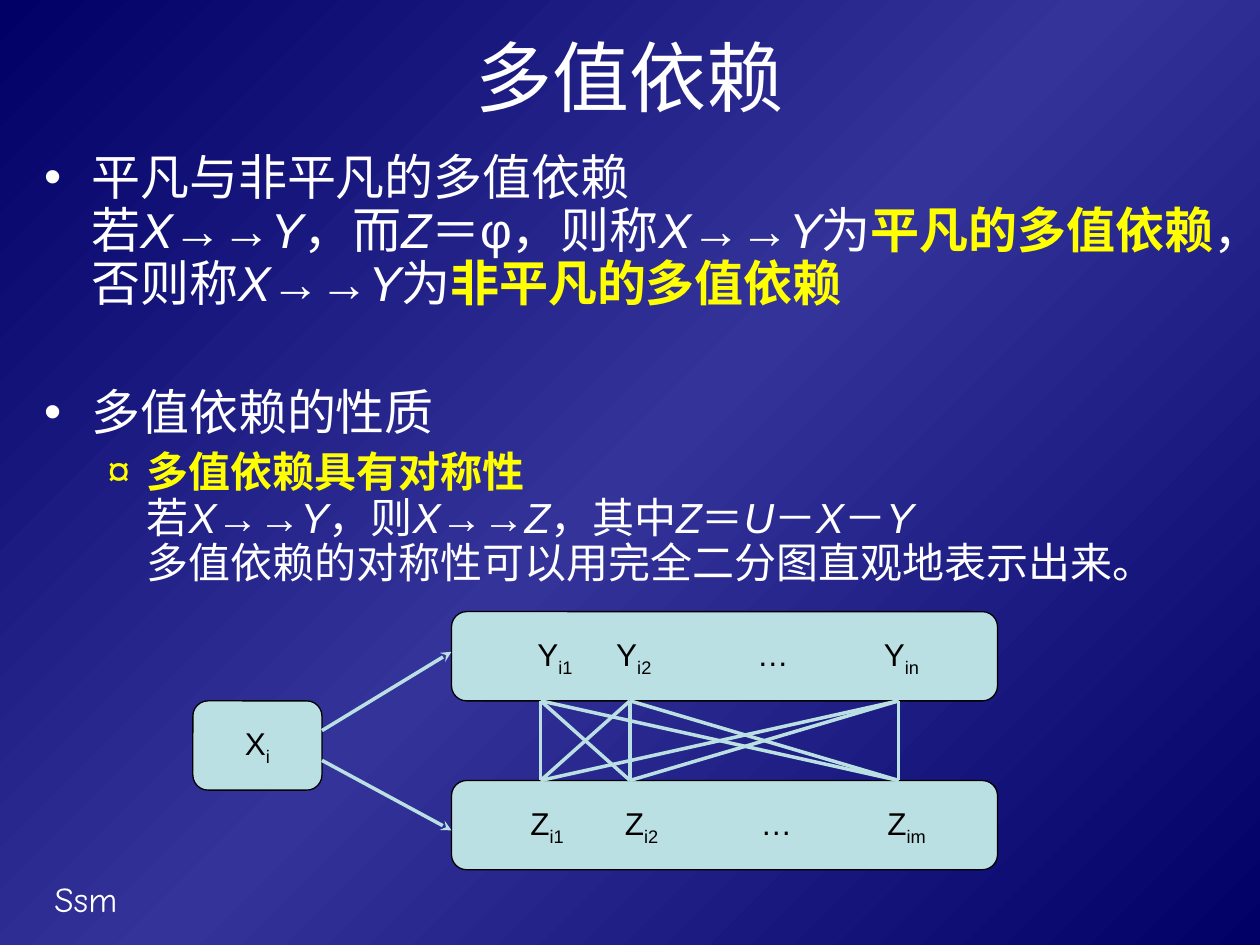
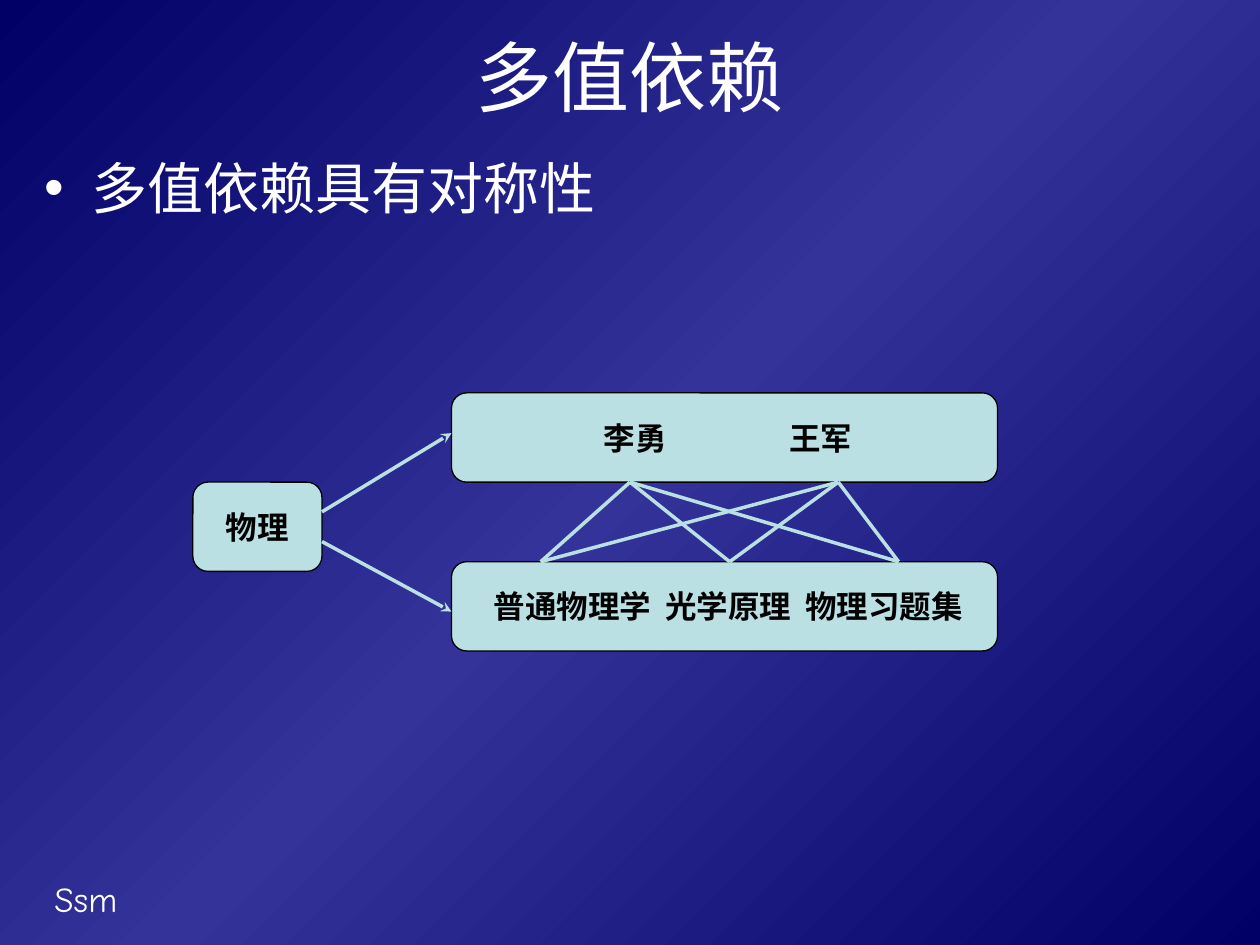
from itertools import product

from lxml.etree import SubElement
from pptx import Presentation
from pptx.dml.color import RGBColor
from pptx.enum.lang import MSO_LANGUAGE_ID as Language
from pptx.enum.shapes import MSO_CONNECTOR as Connector, MSO_SHAPE as Shape
from pptx.enum.text import MSO_ANCHOR as Anchor, MSO_AUTO_SIZE as AutoSize, PP_ALIGN as Align
from pptx.oxml import parse_xml
from pptx.oxml.ns import nsdecls, qn
from pptx.util import Pt

COLORS = {
    "edge": "000066",
    "glow": "333399",
    "text": "FFFFFF",
    "key": "FFFF00",
    "node": "BBE0E3",
    "ink": "000000",
}
PLAIN, ITALIC, SUB = {}, {"italic": True}, {"baseline": -25}
KEY = {"bold": True, "color": "key"}

NODE_HEIGHT = 51
ROW_STEP = 96.5
X_LEFT, X_WIDTH = 110.25, 73.75
WIDE_LEFT, WIDE_WIDTH = 258, 312


def color(name):
    return RGBColor.from_string(COLORS[name])


def depends(left, right):
    return [(left, ITALIC), ("→→", PLAIN), (right, ITALIC)]


def entries(letter, last):
    labels = [[(letter, PLAIN), (index, SUB)] for index in ("i1", "i2", last)]
    return labels[:2] + [[("…", PLAIN)]] + labels[2:]


def bold_entries(*words):
    return [[(word, {"bold": True})] for word in words]


class Slides:
    def __init__(self):
        self.deck = Presentation()
        self.deck.slide_width, self.deck.slide_height = Pt(720), Pt(540)
        self.layout = self.deck.slide_layouts[1]
        self.page = None
        self.paint_background()

    def paint_background(self):
        stops = "".join(
            f'<a:gs pos="{place * 1000}"><a:srgbClr val="{COLORS[name]}"/></a:gs>'
            for place, name in ((0, "edge"), (50, "glow"), (100, "edge"))
        )
        fill = parse_xml(
            f'<a:gradFill {nsdecls("a")} rotWithShape="0"><a:gsLst>{stops}</a:gsLst>'
            '<a:lin ang="13500000" scaled="0"/></a:gradFill>'
        )
        background = self.deck.slide_master.background
        background.fill.solid()
        properties = background.fill._xPr
        properties.replace(properties.find(qn("a:solidFill")), fill)

    def new_page(self, title):
        self.page = self.deck.slides.add_slide(self.layout)
        if len(self.deck.slides) == 1:
            self.footer("Ssm")
        box = self.page.shapes.title
        self.place(box, 36, 12, 648, 63)
        frame = box.text_frame
        frame.auto_size = AutoSize.NONE
        frame.vertical_anchor = Anchor.MIDDLE
        para = frame.paragraphs[0]
        para.alignment = Align.CENTER
        self.add_spans(para, [(title, PLAIN)], 44)

    def footer(self, text):
        box = self.page.shapes.add_textbox(Pt(24), Pt(498), Pt(150), Pt(32))
        box.text_frame.word_wrap = True
        para = box.text_frame.paragraphs[0]
        para.space_before = Pt(12.5)
        self.add_spans(para, [(text, PLAIN)], 20, font="Comic Neue")
        self.layout.shapes.element.append(box.element)

    def place(self, box, left, top, width, height):
        box.left, box.top, box.width, box.height = map(Pt, (left, top, width, height))

    def add_spans(self, para, runs, size, base="text", font="Arial"):
        for text, style in runs:
            for number, line in enumerate(text.split("\n")):
                if number:
                    para.add_line_break()
                if not line:
                    continue
                span = para.add_run()
                span.text = line
                span.font.name, span.font.size = font, Pt(size)
                span.font.language_id = Language.SIMPLIFIED_CHINESE
                span.font.bold = style.get("bold", False)
                span.font.italic = style.get("italic", False)
                span.font.color.rgb = color(style.get("color", base))
                if "baseline" in style:
                    span._r.get_or_add_rPr().set("baseline", str(style["baseline"] * 1000))

    def body(self, height):
        box = self.page.placeholders[1]
        self.place(box, 18, 84, 690, height)
        box.text_frame.auto_size = AutoSize.NONE
        return box.text_frame

    def bullet(self, frame, runs, size, before, spacing=1.0, level=0):
        first = frame.paragraphs[0]
        para = frame.add_paragraph() if first.runs else first
        para.level = level
        margin, hang, mark, tint = ((27, 27, "•", "text"), (58.5, 22.5, "¤", "key"))[level]
        properties = para._p.get_or_add_pPr()
        properties.set("marL", str(Pt(margin)))
        properties.set("indent", str(-Pt(hang)))
        SubElement(SubElement(properties, qn("a:buClr")), qn("a:srgbClr"), val=COLORS[tint])
        SubElement(properties, qn("a:buFont"), typeface="Arial")
        SubElement(properties, qn("a:buChar"), char=mark)
        para.line_spacing = spacing
        para.space_before = Pt(before)
        self.add_spans(para, runs, size)

    def node(self, left, top, width, labels, stops=()):
        box = self.page.shapes.add_shape(
            Shape.ROUNDED_RECTANGLE, Pt(left), Pt(top), Pt(width), Pt(NODE_HEIGHT)
        )
        box.shadow.inherit = False
        box.adjustments[0] = 0.17
        box.fill.solid()
        box.fill.fore_color.rgb = color("node")
        box.line.color.rgb = color("ink")
        box.line.width = Pt(0.75)
        frame = box.text_frame
        frame.vertical_anchor = Anchor.MIDDLE
        frame.word_wrap = bool(stops)
        para = frame.paragraphs[0]
        para.alignment = Align.LEFT if stops else Align.CENTER
        if stops:
            tabs = SubElement(para._p.get_or_add_pPr(), qn("a:tabLst"))
            for stop in stops:
                SubElement(tabs, qn("a:tab"), pos=str(Pt(stop)), algn="l")
        for label in labels:
            lead = [("\t", PLAIN)] if stops else []
            self.add_spans(para, lead + label, 18, "ink")

    def line(self, start, end, arrow=False):
        link = self.page.shapes.add_connector(Connector.STRAIGHT, *map(Pt, (*start, *end)))
        link.line.color.rgb = color("node")
        link.line.width = Pt(2)
        if arrow:
            SubElement(link.line._get_or_add_ln(), qn("a:tailEnd"), type="stealth")
        SubElement(link._element.spPr, qn("a:effectLst"))

    def bipartite(self, top, source, upper, lower, upper_ends, lower_ends):
        self.node(X_LEFT, top + NODE_HEIGHT, X_WIDTH, [source])
        self.node(WIDE_LEFT, top, WIDE_WIDTH, *upper)
        self.node(WIDE_LEFT, top + ROW_STEP, WIDE_WIDTH, *lower)
        for above, below in product(upper_ends, lower_ends):
            self.line((above, top + NODE_HEIGHT), (below, top + ROW_STEP))
        for leave, reach in ((68, 23), (85, 125)):
            self.line((X_LEFT + X_WIDTH, top + leave), (WIDE_LEFT, top + reach), arrow=True)


def properties_page(slides):
    slides.new_page("多值依赖")
    frame = slides.body(266)
    definition = [
        ("平凡与非平凡的多值依赖\n若", PLAIN), *depends("X", "Y"),
        ("，而", PLAIN), ("Z", ITALIC), ("＝φ，则称", PLAIN), *depends("X", "Y"),
        ("为", PLAIN), ("平凡的多值依赖", KEY), ("，否则称", PLAIN), *depends("X", "Y"),
        ("为", PLAIN), ("非平凡的多值依赖", KEY),
    ]
    symmetry = [
        ("多值依赖具有对称性\n", KEY), ("若", PLAIN), *depends("X", "Y"),
        ("，则", PLAIN), *depends("X", "Z"), ("，其中", PLAIN), ("Z", ITALIC),
        ("＝", PLAIN), ("U", ITALIC), ("－", PLAIN), ("X", ITALIC), ("－", PLAIN),
        ("Y\n", ITALIC), ("多值依赖的对称性可以用完全二分图直观地表示出来。", PLAIN),
    ]
    slides.bullet(frame, definition, 28, 7, 0.9)
    slides.bullet(frame, [("多值依赖的性质", PLAIN)], 28, 43.5, 0.9)
    slides.bullet(frame, symmetry, 24, 6, 0.9, level=1)
    ends = (309, 360, 513.5)
    slides.bipartite(
        349.5,
        [("X", PLAIN), ("i", SUB)],
        (entries("Y", "in"), (39.5, 84.5, 165, 237.5)),
        (entries("Z", "im"), (35.5, 89.5, 167, 239.5)),
        ends,
        ends,
    )


def example_page(slides):
    slides.new_page("多值依赖")
    slides.bullet(slides.body(414), [("多值依赖具有对称性", PLAIN)], 32, 8)
    slides.bipartite(
        224.5,
        [("物理", {"bold": True})],
        (bold_entries("李勇", "王军"), (77.5, 183.5)),
        (bold_entries("普通物理学", "光学原理", "物理习题集"), (14.5, 112.5, 192.5)),
        (360, 479),
        (309, 417, 513.5),
    )


def main():
    slides = Slides()
    properties_page(slides)
    example_page(slides)
    slides.deck.save("out.pptx")


if __name__ == "__main__":
    main()
